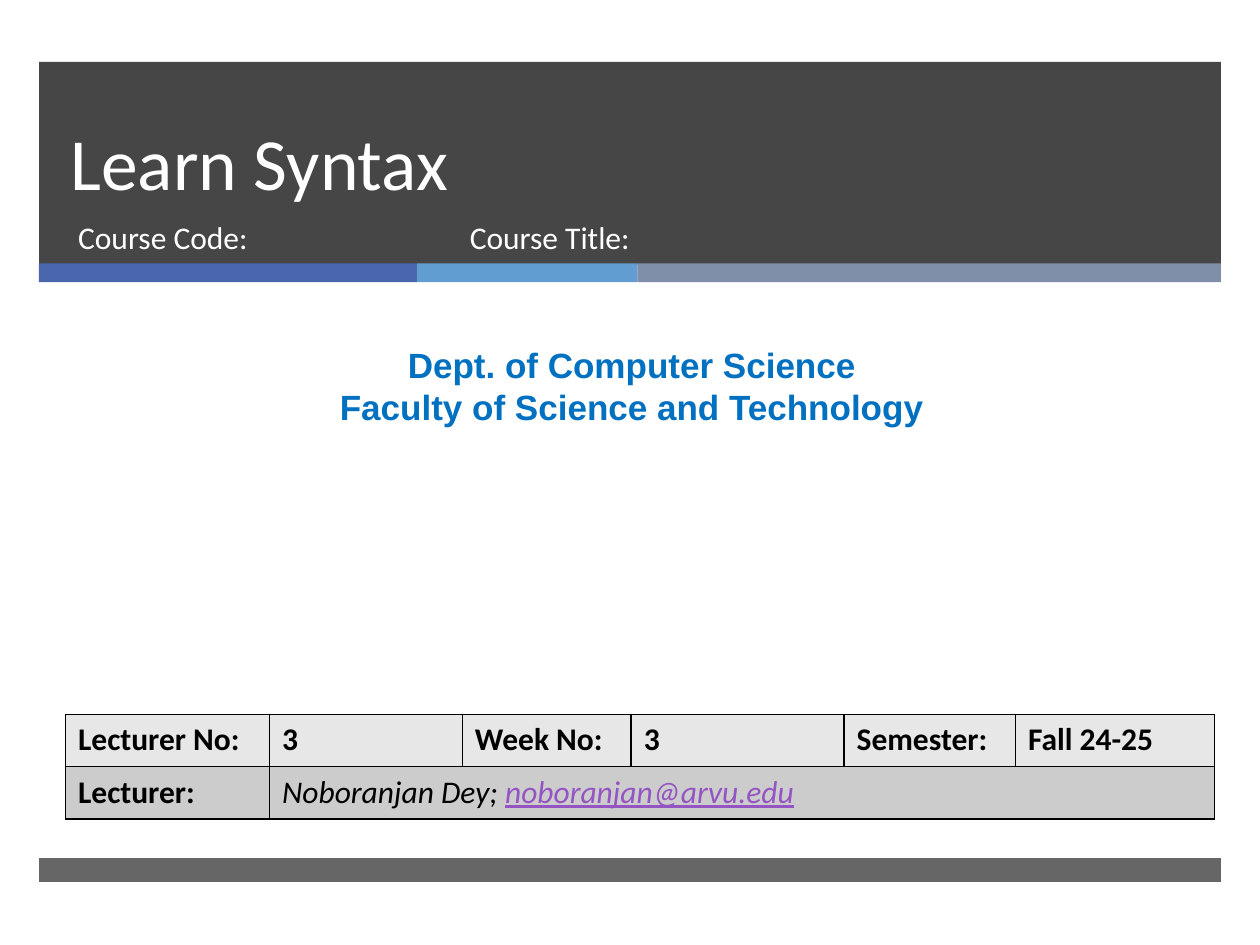
import pptx
import pptx.dml.color
import pptx.enum.shapes
import pptx.enum.text
import pptx.oxml
import pptx.oxml.ns
import pptx.util

ALIGN = pptx.enum.text.PP_ALIGN
ANCHOR = pptx.enum.text.MSO_ANCHOR
COLS, ROWS = 100, 75
BAND_LEFT, BAND_WIDTH = 3.1, 93.8


def rgb(value):
    return pptx.dml.color.RGBColor.from_string(value)


def add_run(p, text, size=18, font="Calibri", color="FFFFFF", bold=False,
            italic=False, underline=False):
    r = p.add_run()
    r.text = text
    r.font.size = pptx.util.Pt(size)
    r.font.name = font
    r.font.color.rgb = rgb(color)
    r.font.bold = bold
    r.font.italic = italic
    r.font.underline = underline


class Deck:
    def __init__(self):
        self.prs = pptx.Presentation()
        self.prs.slide_width = pptx.util.Inches(10)
        self.prs.slide_height = pptx.util.Inches(7.5)
        self.s = self.prs.slides.add_slide(self.prs.slide_layouts[0])

    def x(self, cols):
        return round(self.prs.slide_width * cols / COLS)

    def y(self, rows):
        return round(self.prs.slide_height * rows / ROWS)

    def box(self, left, top, width, height):
        return self.x(left), self.y(top), self.x(width), self.y(height)

    def bar(self, left, top, width, height, color, opacity=100):
        sp = self.s.shapes.add_shape(pptx.enum.shapes.MSO_SHAPE.RECTANGLE,
                                     *self.box(left, top, width, height))
        sp.shadow.inherit = False
        sp.line.fill.background()
        sp.fill.solid()
        sp.fill.fore_color.rgb = rgb(color)
        if opacity < 100:
            clr = sp.element.spPr.find(".//" + pptx.oxml.ns.qn("a:srgbClr"))
            clr.append(pptx.oxml.parse_xml(
                f'<a:alpha {pptx.oxml.ns.nsdecls("a")} val="{opacity * 1000}"/>'))

    def fill_text(self, sp, lines, align=ALIGN.LEFT, anchor=ANCHOR.TOP, spacing=None, **style):
        tf = sp.text_frame
        tf.word_wrap = True
        tf.auto_size = pptx.enum.text.MSO_AUTO_SIZE.NONE
        tf.vertical_anchor = anchor
        for i, line in enumerate(lines):
            p = tf.add_paragraph() if i else tf.paragraphs[0]
            p.alignment = align
            p.space_before = pptx.util.Pt(0)
            if spacing:
                p.line_spacing = pptx.util.Pt(spacing)
            add_run(p, line, **style)

    def placeholder(self, idx, box, text, **style):
        sp = self.s.placeholders[idx]
        sp.left, sp.top, sp.width, sp.height = self.box(*box)
        sp.element.getparent().append(sp.element)
        self.fill_text(sp, [text], **style)

    def text(self, box, lines, **style):
        self.fill_text(self.s.shapes.add_textbox(*self.box(*box)), lines, **style)

    def border(self, cell):
        tcPr = cell._tc.get_or_add_tcPr()
        for side in ("lnL", "lnR", "lnT", "lnB"):
            tcPr.append(pptx.oxml.parse_xml(
                f'<a:{side} {pptx.oxml.ns.nsdecls("a")} w="12700"><a:solidFill>'
                f'<a:srgbClr val="000000"/></a:solidFill></a:{side}>'))

    def table(self, left, top, widths, row_height, rows, fills):
        box = self.box(left, top, sum(widths), row_height * len(rows))
        tb = self.s.shapes.add_table(len(rows), len(widths), *box).table
        tb.first_row = tb.horz_banding = False
        for col, width in zip(tb.columns, widths):
            col.width = self.x(width)
        for i, (row, fill) in enumerate(zip(rows, fills)):
            tb.rows[i].height = self.y(row_height)
            for j in range(len(widths)):
                cell = tb.cell(i, j)
                self.border(cell)
                cell.fill.solid()
                cell.fill.fore_color.rgb = rgb(fill)
                for text, style in row[j] if j < len(row) else []:
                    add_run(cell.text_frame.paragraphs[0], text, **style)
            if len(row) < len(widths):
                tb.cell(i, len(row) - 1).merge(tb.cell(i, len(widths) - 1))


def main():
    d = Deck()
    d.bar(BAND_LEFT, 4.9, BAND_WIDTH, 16.1, "262626", 85)
    left = BAND_LEFT
    for width, color in ((30, "4A66AC"), (17.5, "629DD1"), (46.3, "7F8FA9")):
        d.bar(left, 20.9, width, 1.5, color)
        left += width
    d.bar(BAND_LEFT, 68.1, BAND_WIDTH, 1.9, "262626", 70)

    d.placeholder(0, (4.6, 4.9, 85.4, 11.9), "Learn Syntax",
                  anchor=ANCHOR.BOTTOM, spacing=46, size=42)
    d.placeholder(1, (5.2, 16.8, 30.5, 5.3), "Course Code:")
    d.text((36.3, 16.8, 45.5, 5.3), ["Course Title:"])
    d.text((0.8, 26.8, 98.7, 7.7),
           ["Dept. of Computer Science", "Faculty of Science and Technology"],
           align=ALIGN.CENTER, size=20, font="Arial", color="0070C0", bold=True)

    label = {"color": "000000", "bold": True}
    name = {"color": "000000", "italic": True}
    mail = {"color": "9454C3", "italic": True, "underline": True}
    details = ("Lecturer No:", "3", "Week No:", "3", "Semester:", "Fall 24-25")
    lecturer = [("Noboranjan Dey; ", name), ("noboranjan@arvu.edu", mail)]
    d.table(5.2, 56.7, (16.2, 15.3, 13.4, 16.9, 13.6, 15.8), 4.15,
            [[[(text, label)] for text in details], [[("Lecturer:", label)], lecturer]],
            ("E7E7E7", "CCCCCC"))
    d.prs.save("out.pptx")


if __name__ == "__main__":
    main()
